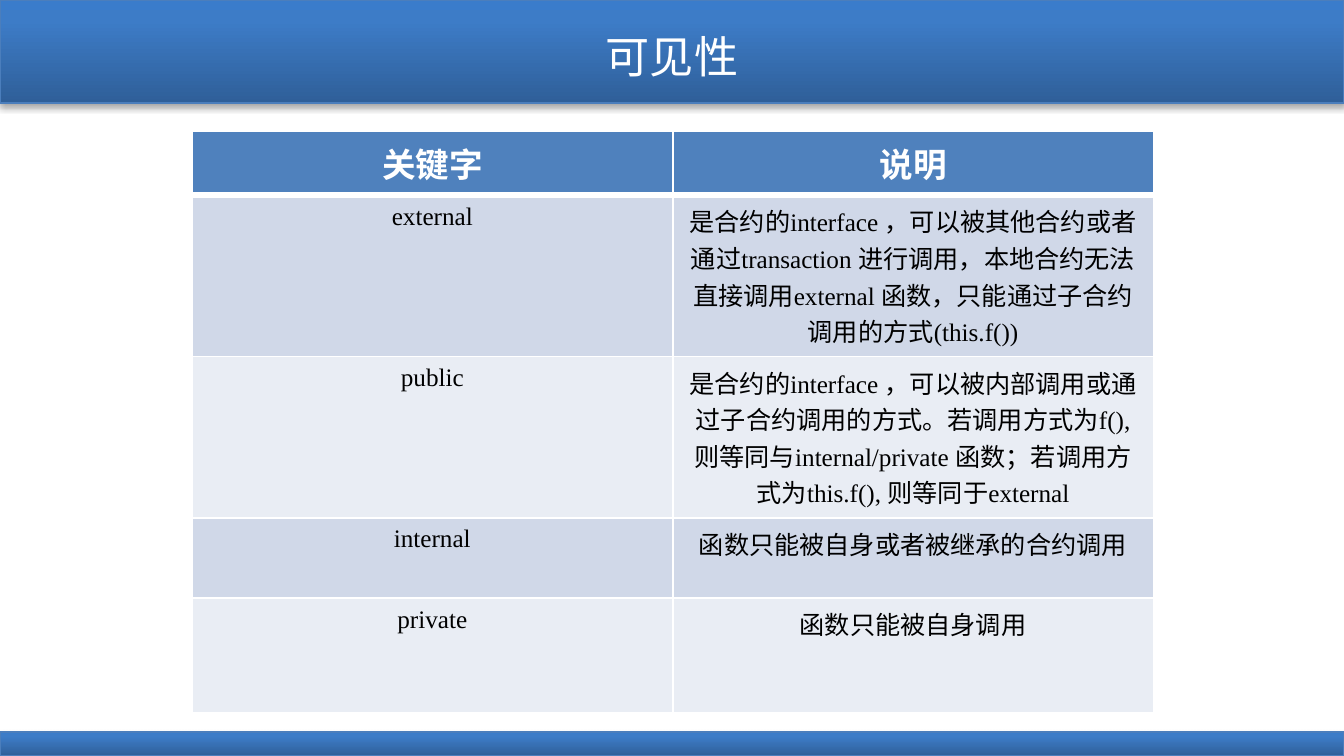
from lxml.etree import SubElement
from pptx import Presentation
from pptx.dml.color import RGBColor
from pptx.enum.shapes import MSO_SHAPE
from pptx.enum.text import MSO_ANCHOR, PP_ALIGN
from pptx.oxml import parse_xml
from pptx.oxml.ns import qn
from pptx.util import Inches, Pt

WHITE = RGBColor(0xFF, 0xFF, 0xFF)
BLACK = RGBColor(0x00, 0x00, 0x00)
BAR_DARK = RGBColor(0x2F, 0x5F, 0x99)
BAR_MIDDLE = RGBColor(0x3D, 0x7C, 0xC7)
BAR_LIGHT = RGBColor(0x3A, 0x7C, 0xCB)
BAR_LINE = RGBColor(0x4B, 0x7E, 0xBC)
HEADER_FILL = RGBColor(0x4F, 0x81, 0xBD)
BAND_FILLS = (RGBColor(0xD0, 0xD8, 0xE8), RGBColor(0xE9, 0xED, 0xF4))

FONT = "Times New Roman"
NAMESPACE = 'xmlns:a="http://schemas.openxmlformats.org/drawingml/2006/main"'
SLIDE_WIDTH, SLIDE_HEIGHT = 8.89, 5
ROW_HEIGHTS = (0.31, 0.76, 0.76, 0.53, 0.76)
ROWS = (
    ("关键字", "说明"),
    ("external", "是合约的interface ，可以被其他合约或者通过transaction 进行调用，本地合约⽆法直接调用external 函数，只能通过子合约调用的方式(this.f())"),
    ("public", "是合约的interface ，可以被内部调用或通过子合约调用的方式。若调用方式为f(), 则等同与internal/private 函数；若调用方式为this.f(), 则等同于external"),
    ("internal", "函数只能被自身或者被继承的合约调用"),
    ("private", "函数只能被自身调用"),
)


def format_paragraph(paragraph, size, color, bold=False):
    """Centre a paragraph and set its font."""
    paragraph.alignment = PP_ALIGN.CENTER
    paragraph.font.name = FONT
    paragraph.font.size = Pt(size)
    paragraph.font.bold = bold
    paragraph.font.color.rgb = color


def add_bar(slide, left, top, width, height):
    """Add a full-width gradient bar with a soft shadow below it."""
    bar = slide.shapes.add_shape(
        MSO_SHAPE.RECTANGLE, Inches(left), Inches(top), Inches(width), Inches(height)
    )
    bar.line.color.rgb = BAR_LINE
    bar.line.width = Pt(0.75)
    stops = "".join(
        f'<a:gs pos="{position * 1000}"><a:srgbClr val="{color}"/></a:gs>'
        for position, color in ((0, BAR_DARK), (80, BAR_MIDDLE), (100, BAR_LIGHT))
    )
    gradient = parse_xml(
        f'<a:gradFill {NAMESPACE} rotWithShape="1"><a:gsLst>{stops}</a:gsLst>'
        '<a:lin ang="16200000" scaled="0"/></a:gradFill>'
    )
    shadow = parse_xml(
        f'<a:effectLst {NAMESPACE}><a:outerShdw blurRad="{Pt(3.1)}" dist="{Pt(1.8)}" '
        'dir="5400000" rotWithShape="0"><a:srgbClr val="000000">'
        '<a:alpha val="35000"/></a:srgbClr></a:outerShdw></a:effectLst>'
    )
    properties = bar.element.spPr
    properties.find(qn("a:prstGeom")).addnext(gradient)
    properties.find(qn("a:ln")).addnext(shadow)


def place_title(slide, left, top, width, height):
    """Move the title placeholder in front of the bars and format it."""
    title = slide.shapes.title
    title.left, title.top = Inches(left), Inches(top)
    title.width, title.height = Inches(width), Inches(height)
    title.text_frame.text = "可见性"
    title.text_frame.vertical_anchor = MSO_ANCHOR.MIDDLE
    format_paragraph(title.text_frame.paragraphs[0], 21, WHITE)
    title.element.getparent().append(title.element)


def set_borders(cell, bottom_width):
    """Give a cell white borders, with its own width at the bottom."""
    properties = cell._tc.get_or_add_tcPr()
    for side, width in (("L", 1), ("R", 1), ("T", 1), ("B", bottom_width)):
        line = SubElement(properties, qn(f"a:ln{side}"), w=str(Pt(width)))
        fill = SubElement(line, qn("a:solidFill"))
        SubElement(fill, qn("a:srgbClr"), val=str(WHITE))


def add_keyword_table(slide, left, top, width):
    """Add the table of visibility keywords with banded rows."""
    table = slide.shapes.add_table(
        len(ROWS), len(ROWS[0]), Inches(left), Inches(top),
        Inches(width), Inches(sum(ROW_HEIGHTS)),
    ).table
    for row_index, (texts, height) in enumerate(zip(ROWS, ROW_HEIGHTS)):
        is_header = row_index == 0
        table.rows[row_index].height = Inches(height)
        for column_index, text in enumerate(texts):
            cell = table.cell(row_index, column_index)
            cell.text = text
            set_borders(cell, 3 if is_header else 1)
            cell.fill.solid()
            cell.fill.fore_color.rgb = (
                HEADER_FILL if is_header else BAND_FILLS[(row_index - 1) % 2]
            )
            format_paragraph(
                cell.text_frame.paragraphs[0],
                16 if is_header else 12,
                WHITE if is_header else BLACK,
                is_header,
            )


def main():
    """Build and save the presentation."""
    presentation = Presentation()
    presentation.slide_width = Inches(SLIDE_WIDTH)
    presentation.slide_height = Inches(SLIDE_HEIGHT)
    slide = presentation.slides.add_slide(presentation.slide_layouts[5])
    add_bar(slide, 0, 0, SLIDE_WIDTH, 0.68)
    add_bar(slide, 0, 4.84, SLIDE_WIDTH, 0.16)
    place_title(slide, 0, 0.13, SLIDE_WIDTH, 0.48)
    add_keyword_table(slide, 1.27, 0.87, 6.36)
    presentation.save("out.pptx")


if __name__ == "__main__":
    main()
